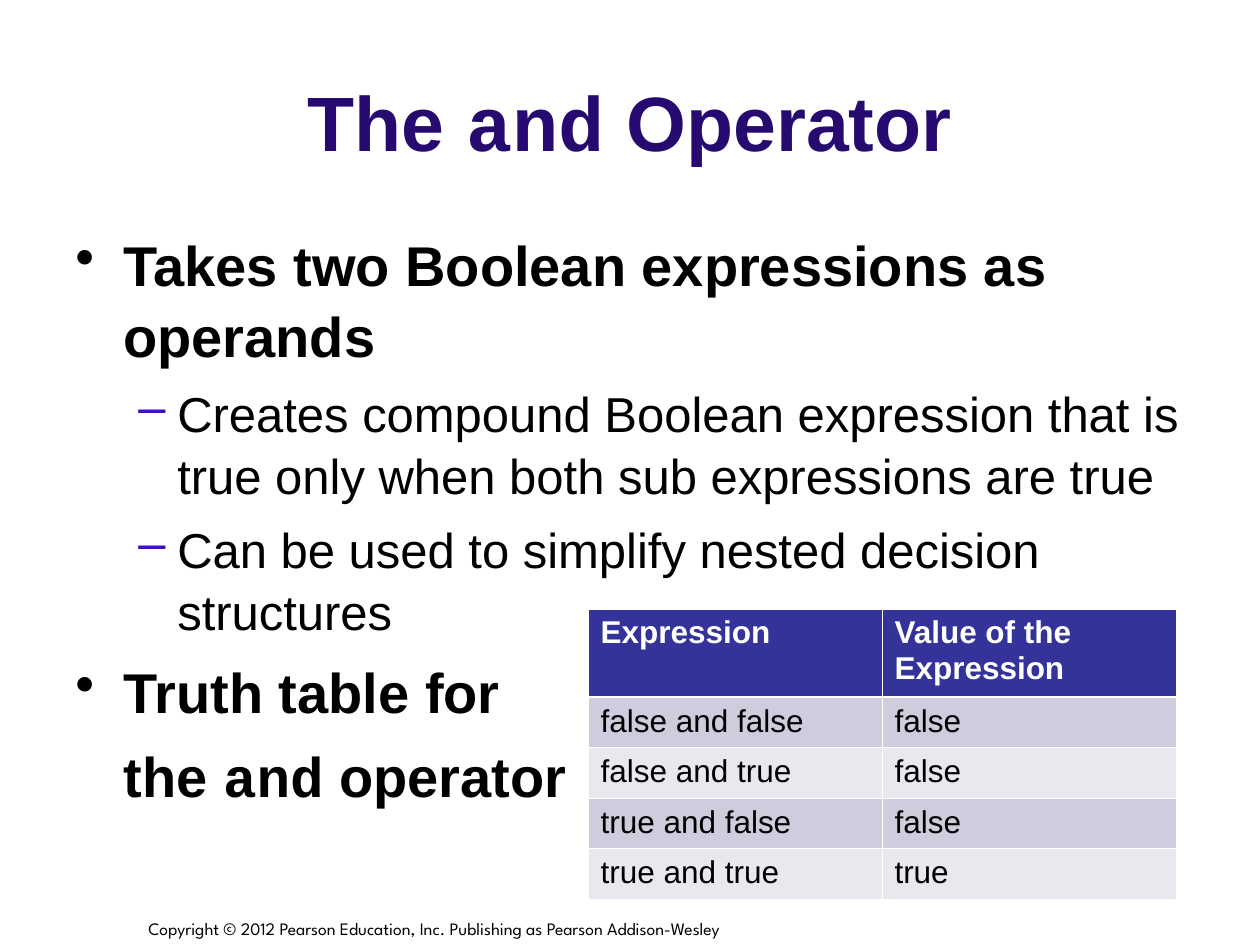
import pptx
import pptx.dml.color
import pptx.enum.text
import pptx.oxml
import pptx.oxml.ns
import pptx.util

SCALE = 914400 / 126
COLORS = {
    "title": "270A70", "text": "000000", "dash": "4211BB", "white": "FFFFFF",
    "header": "333399", "band": "CDCDDE", "light": "E8E8EF",
}
ANCHOR = pptx.enum.text.MSO_ANCHOR
TRUTH_TABLE = [
    ("Expression", "Value of the Expression"),
    ("false and false", "false"),
    ("false and true", "false"),
    ("true and false", "false"),
    ("true and true", "true"),
]


def emu(px):
    return pptx.util.Emu(round(px * SCALE))


def color(name):
    return pptx.dml.color.RGBColor.from_string(COLORS[name])


def element(parent, xml):
    """Append a drawing element, given without its namespace declaration."""
    tag, rest = xml[:xml.index(" ")], xml[xml.index(" "):]
    parent.append(pptx.oxml.parse_xml(f'{tag} {pptx.oxml.ns.nsdecls("a")}{rest}'))


def style(font, size, color_name, bold=False, name="Arial"):
    font.size = pptx.util.Pt(size)
    font.color.rgb = color(color_name)
    font.bold = bold
    font.name = name


def add_text_frame(page, box, anchor):
    frame = page.shapes.add_textbox(*map(emu, box)).text_frame
    frame.word_wrap = True
    frame.vertical_anchor = anchor
    return frame


def add_operator_text(para, before, after):
    """Write text around the keyword, which is set in the code font."""
    para.add_run().text = before
    span = para.add_run()
    span.text = "and"
    span.font.name = "Courier New"
    para.add_run().text = after


def add_title(page, box):
    para = add_text_frame(page, box, ANCHOR.MIDDLE).paragraphs[0]
    para.alignment = pptx.enum.text.PP_ALIGN.CENTER
    style(para.font, 44, "title", bold=True)
    add_operator_text(para, "The ", " Operator")


def format_point(para, level, bullet=True):
    """Set the indent, bullet and font of a main point (0) or a sub-point (1)."""
    left, hanging, size, mark, mark_color = (
        (48, 48, 32, "•", "text"), (102, 39, 28, "–", "dash"))[level]
    properties = para._p.get_or_add_pPr()
    properties.set("marL", str(emu(left)))
    properties.set("indent", str(-emu(hanging) if bullet else 0))
    para.level = level
    para.line_spacing = 1.05
    if bullet:
        element(properties, f'<a:buClr ><a:srgbClr val="{COLORS[mark_color]}"/></a:buClr>')
        element(properties, f'<a:buChar char="{mark}"/>')
    style(para.font, size, "text", bold=level == 0)


def add_points(page, box):
    frame = add_text_frame(page, box, ANCHOR.TOP)
    points = [
        (0, "Takes two Boolean expressions as operands"),
        (1, "Creates compound Boolean expression that is true only when both sub expressions are true"),
        (1, "Can be used to simplify nested decision structures"),
        (0, "Truth table for"),
    ]
    for index, (level, text) in enumerate(points):
        para = frame.add_paragraph() if index else frame.paragraphs[0]
        para.text = text
        format_point(para, level)
        if index:
            para.space_before = pptx.util.Pt(8 - level)
    para = frame.add_paragraph()
    add_operator_text(para, "the ", " operator")
    format_point(para, 0, bullet=False)
    para.space_before = pptx.util.Pt(8)


def add_borders(cell, row):
    widths = {"lnL": 0.45, "lnR": 0.45,
              "lnT": 1.5 if row == 1 else 0.45, "lnB": 1.5 if row == 0 else 0.45}
    for side, width in widths.items():
        element(cell._tc.get_or_add_tcPr(),
                f'<a:{side} w="{pptx.util.Pt(width)}"><a:solidFill>'
                f'<a:srgbClr val="{COLORS["white"]}"/></a:solidFill></a:{side}>')


def add_truth_table(page, box):
    table = page.shapes.add_table(len(TRUTH_TABLE), 2, *map(emu, box)).table
    header_height = 88
    row_height = (box[3] - header_height) // (len(TRUTH_TABLE) - 1)
    for column in table.columns:
        column.width = emu(box[2] // 2)
    for row, texts in enumerate(TRUTH_TABLE):
        table.rows[row].height = emu(row_height if row else header_height)
        fill = "header" if row == 0 else "band" if row % 2 else "light"
        for column, text in enumerate(texts):
            cell = table.cell(row, column)
            cell.text = text
            add_borders(cell, row)
            cell.fill.solid()
            cell.fill.fore_color.rgb = color(fill)
            style(cell.text_frame.paragraphs[0].font, 18,
                  "text" if row else "white", bold=row == 0)


def add_copyright(page, box):
    para = add_text_frame(page, box, ANCHOR.BOTTOM).paragraphs[0]
    para.text = "Copyright © 2012 Pearson Education, Inc. Publishing as Pearson Addison-Wesley"
    style(para.font, 10, "text", name="League Spartan")


def main():
    deck = pptx.Presentation()
    deck.slide_width, deck.slide_height = emu(1260), emu(945)
    page = deck.slides.add_slide(deck.slide_layouts[6])
    add_copyright(page, (136, 903, 902, 42))
    add_title(page, (63, 42, 1134, 158))
    add_points(page, (63, 221, 1134, 624))
    add_truth_table(page, (588, 609, 588, 288))
    deck.save("out.pptx")


if __name__ == "__main__":
    main()
